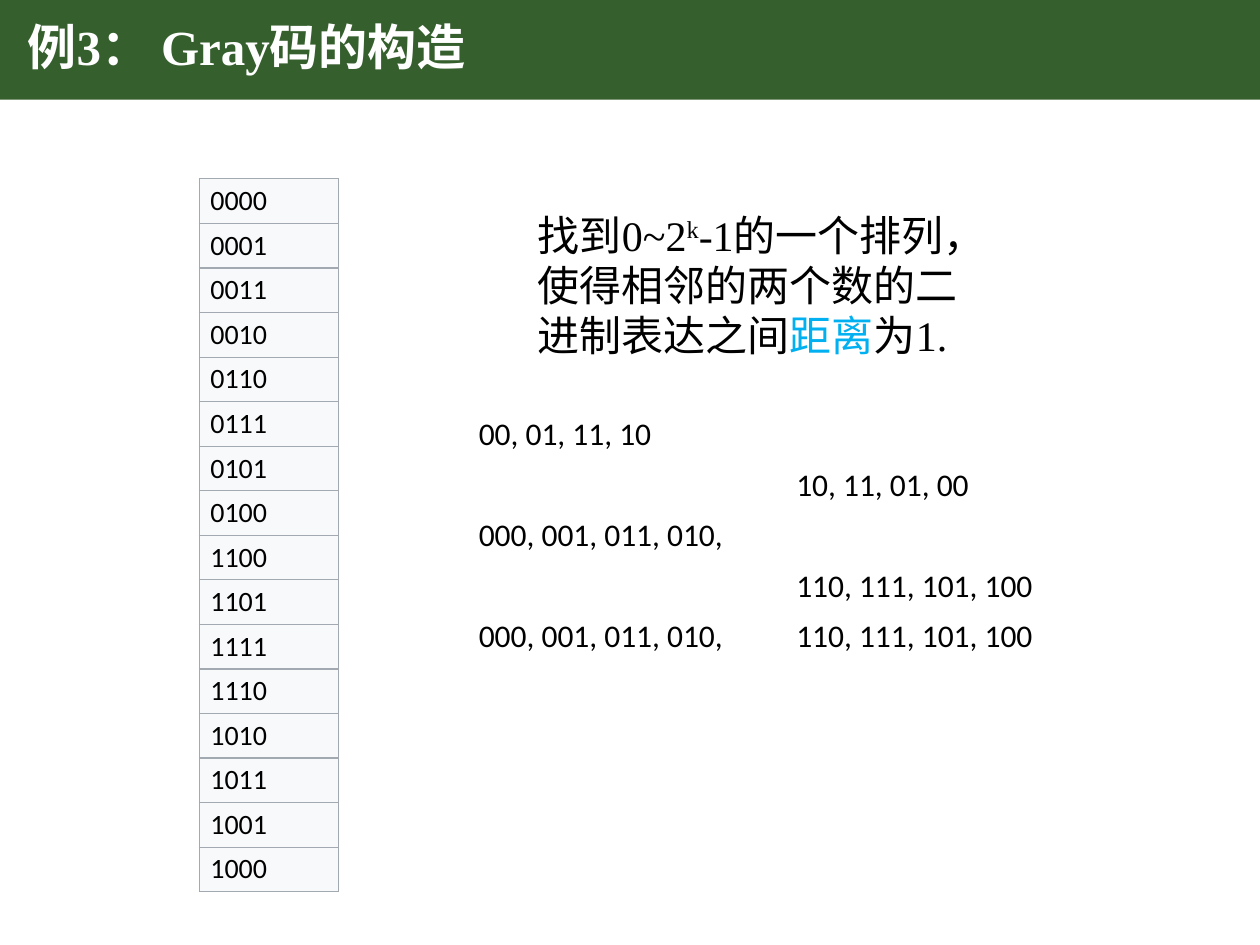
from lxml import etree
from pptx import Presentation
from pptx.dml.color import RGBColor
from pptx.enum.shapes import MSO_SHAPE
from pptx.enum.text import MSO_ANCHOR, MSO_AUTO_SIZE, PP_ALIGN
from pptx.oxml.ns import qn
from pptx.util import Inches, Pt

RECTANGLE = MSO_SHAPE.RECTANGLE
MIDDLE, TOP = MSO_ANCHOR.MIDDLE, MSO_ANCHOR.TOP
NO_FIT, GROW = MSO_AUTO_SIZE.NONE, MSO_AUTO_SIZE.SHAPE_TO_FIT_TEXT
LEFT = PP_ALIGN.LEFT

COLORS = {
    "band": "365F2E",
    "white": "FFFFFF",
    "text": "000000",
    "highlight": "00B0F0",
    "code_fill": "F8F9FA",
    "code_border": "A2A9B1",
}
SERIF, SANS = "Times New Roman", "Calibri"
TITLE_ONLY = 5


def color(name):
    return RGBColor.from_string(COLORS[name])


def add_run(paragraph, text, size, font, color_name="text", bold=False):
    run = paragraph.add_run()
    run.text = text
    run.font.size = Pt(size)
    run.font.name = font
    run.font.bold = bold
    run.font.color.rgb = color(color_name)
    return run


def add_title(slide, left, top, width, height):
    band = slide.shapes.add_shape(
        RECTANGLE, Inches(left), Inches(top), Inches(width), Inches(height))
    band.shadow.inherit = False
    band.fill.solid()
    band.fill.fore_color.rgb = color("band")
    band.line.fill.background()

    title = slide.shapes.title
    title._element.addprevious(band._element)
    title.left, title.top = Inches(left), Inches(top)
    title.width, title.height = Inches(8.62), Inches(height)
    frame = title.text_frame
    frame.auto_size = NO_FIT
    frame.vertical_anchor = MIDDLE
    heading = frame.paragraphs[0]
    heading.alignment = LEFT
    heading.line_spacing = 0.9
    heading._p.get_or_add_pPr().set("marL", str(Inches(0.12)))
    add_run(heading, "例3： Gray码的构造", 28, SERIF, "white", True)


def add_problem(slide, left, top, width, height):
    problem = slide.shapes.add_textbox(
        Inches(left), Inches(top), Inches(width), Inches(height))
    frame = problem.text_frame
    frame.word_wrap = True
    frame.auto_size = GROW
    frame.vertical_anchor = TOP
    statement = frame.paragraphs[0]
    add_run(statement, "找到0~2", 24, SERIF)
    exponent = add_run(statement, "k", 24, SERIF)
    exponent.font._element.set("baseline", "30000")
    add_run(statement, "-1的一个排列，使得相邻的两个数的二进制表达之间", 24, SERIF)
    add_run(statement, "距离", 24, SERIF, "highlight")
    add_run(statement, "为1.", 24, SERIF)


def add_plain_table(slide, rows, left, top, column_widths, row_height, size, fill):
    table = slide.shapes.add_table(
        len(rows), len(column_widths), Inches(left), Inches(top),
        Inches(sum(column_widths)), Inches(row_height * len(rows))).table
    table.first_row = False
    table.horz_banding = False
    for column, width in zip(table.columns, column_widths):
        column.width = Inches(width)
    for row, texts in zip(table.rows, rows):
        row.height = Inches(row_height)
        for cell, text in zip(row.cells, texts):
            cell.fill.solid()
            cell.fill.fore_color.rgb = color(fill)
            cell.vertical_anchor = MIDDLE
            if text:
                add_run(cell.text_frame.paragraphs[0], text, size, SANS)
    return table


def set_borders(cell, color_name, width):
    properties = cell._tc.get_or_add_tcPr()
    for position, side in enumerate(("a:lnL", "a:lnR", "a:lnT", "a:lnB")):
        border = etree.Element(qn(side), w=str(Pt(width)))
        fill = etree.SubElement(border, qn("a:solidFill"))
        etree.SubElement(fill, qn("a:srgbClr"), val=COLORS[color_name])
        properties.insert(position, border)


def add_construction(slide, left, top, width, height):
    first_half = "000, 001, 011, 010,"
    second_half = "110, 111, 101, 100"
    steps = [
        ("00, 01, 11, 10", ""),
        ("", "10, 11, 01, 00"),
        (first_half, ""),
        ("", second_half),
        (first_half, second_half),
    ]
    first_width = 2.52
    add_plain_table(slide, steps, left, top, (first_width, width - first_width),
                    height / len(steps), 18, "white")


def add_gray_codes(slide, left, top, width, height, bits=4):
    codes = [(f"{n ^ (n >> 1):0{bits}b}",) for n in range(2 ** bits)]
    table = add_plain_table(slide, codes, left, top, (width,),
                            height / len(codes), 16, "code_fill")
    for cell in table.iter_cells():
        cell.margin_left = cell.margin_right = Inches(0.09)
        cell.margin_top = cell.margin_bottom = Inches(0.04)
        set_borders(cell, "code_border", 0.75)


def main():
    deck = Presentation()
    deck.slide_width, deck.slide_height = Inches(10), Inches(7.5)
    slide = deck.slides.add_slide(deck.slide_layouts[TITLE_ONLY])
    add_title(slide, 0, 0, 10, 0.79)
    add_problem(slide, 4.17, 1.61, 3.82, 1.31)
    add_construction(slide, 3.7, 3.25, 5.41, 2)
    add_gray_codes(slide, 1.58, 1.42, 1.11, 5.66)
    deck.save("out.pptx")


if __name__ == "__main__":
    main()
